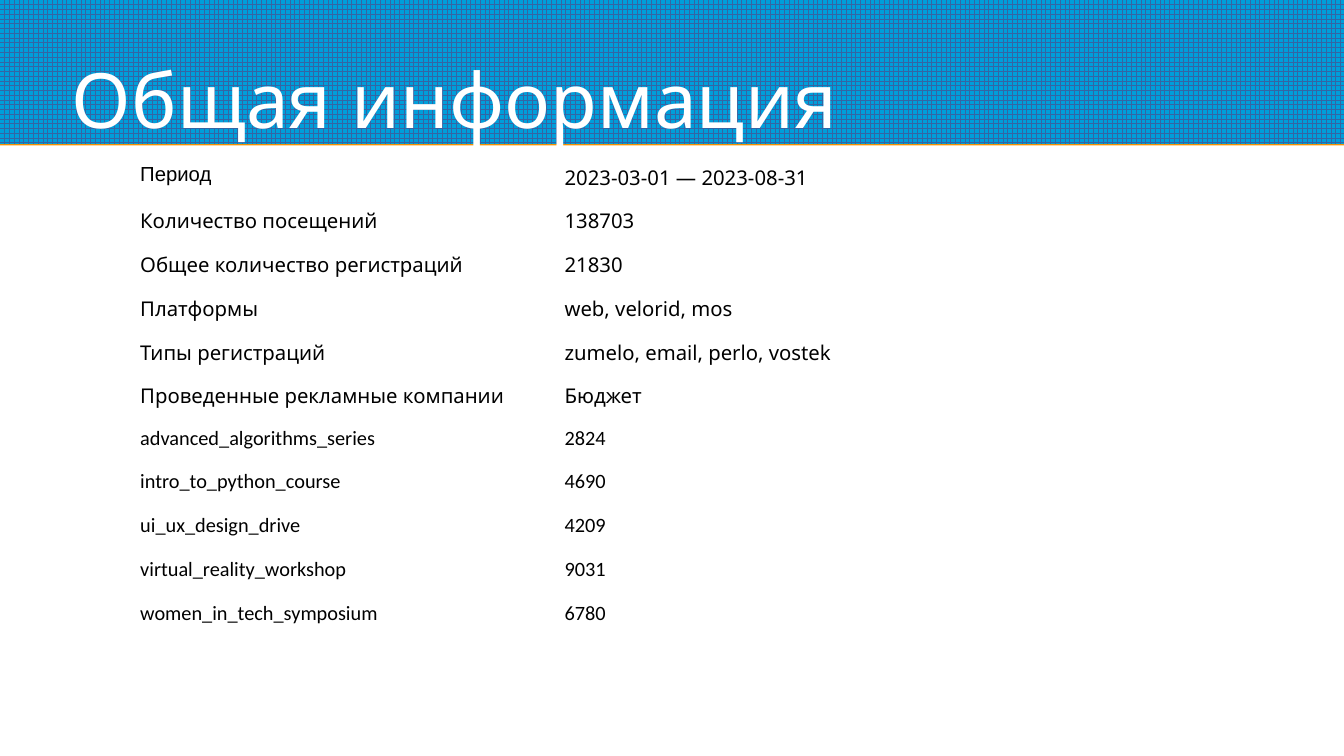
"""Build the general information slide: a patterned title band and a two-column table."""
from lxml.etree import SubElement
from pptx import Presentation
from pptx.dml.color import RGBColor
from pptx.enum.dml import MSO_PATTERN
from pptx.enum.shapes import MSO_SHAPE
from pptx.enum.text import MSO_ANCHOR, MSO_AUTO_SIZE, PP_ALIGN
from pptx.oxml.ns import qn
from pptx.util import Inches, Pt

COLORS = {"grid": "3465A4", "band": "009EDA", "edge": "F49100", "title": "FFFFFF", "text": "000000"}
COLUMN_WIDTHS = (3.48, 4.41)
ROW_HEIGHT = 0.359
CAMPAIGN_START = 6
ROWS = [
    ("Период", "2023-03-01 — 2023-08-31"),
    ("Количество посещений", "138703"),
    ("Общее количество регистраций", "21830"),
    ("Платформы", "web, velorid, mos"),
    ("Типы регистраций", "zumelo, email, perlo, vostek"),
    ("Проведенные рекламные компании", "Бюджет"),
    ("advanced_algorithms_series", "2824"),
    ("intro_to_python_course", "4690"),
    ("ui_ux_design_drive", "4209"),
    ("virtual_reality_workshop", "9031"),
    ("women_in_tech_symposium", "6780"),
]


def style_font(font, name, size, color):
    font.name = name
    font.size = Pt(size)
    font.color.rgb = RGBColor.from_string(COLORS[color])


deck = Presentation()
deck.slide_width = Inches(11.02)
deck.slide_height = Inches(6.2)
page = deck.slides.add_slide(deck.slide_layouts[5])

band = page.shapes.add_shape(MSO_SHAPE.RECTANGLE, 0, 0, deck.slide_width, Inches(1.18))
band.fill.patterned()
band.fill.pattern = MSO_PATTERN.LARGE_GRID
band.fill.fore_color.rgb = RGBColor.from_string(COLORS["grid"])
band.fill.back_color.rgb = RGBColor.from_string(COLORS["band"])
band.line.fill.background()
band.shadow.inherit = False
effects = band.element.spPr.find(qn("a:effectLst"))
edge = SubElement(effects, qn("a:outerShdw"), blurRad="0", dist=str(Pt(0.9)), dir="5400000",
                  algn="ctr", rotWithShape="0")
SubElement(edge, qn("a:srgbClr"), val=COLORS["edge"])

title = page.shapes.title
title.element.addprevious(band.element)
title.left, title.top = Inches(0.59), Inches(0.1)
title.width, title.height = Inches(9.84), Inches(1.08)
frame = title.text_frame
frame.text = "Общая информация"
frame.auto_size = MSO_AUTO_SIZE.NONE
frame.word_wrap = True
frame.vertical_anchor = MSO_ANCHOR.BOTTOM
frame.margin_left = frame.margin_right = frame.margin_top = frame.margin_bottom = 0
frame.paragraphs[0].alignment = PP_ALIGN.LEFT
style_font(frame.paragraphs[0].font, "Noto Sans", 45, "title")

table = page.shapes.add_table(
    len(ROWS), len(COLUMN_WIDTHS), Inches(1.11), Inches(1.29),
    Inches(sum(COLUMN_WIDTHS)), Inches(ROW_HEIGHT * len(ROWS)),
).table
table.first_row = False
table.horz_banding = False
for column, width in zip(table.columns, COLUMN_WIDTHS):
    column.width = Inches(width)

for row_index, row in enumerate(ROWS):
    table.rows[row_index].height = Inches(ROW_HEIGHT)
    for column_index, text in enumerate(row):
        cell = table.cell(row_index, column_index)
        cell.fill.background()
        cell.margin_left = cell.margin_right = Inches(0.04)
        cell.margin_top = cell.margin_bottom = Inches(0.05)
        cell.text = text
        if text == "Период":
            font_name = "Arial"
        elif row_index < CAMPAIGN_START:
            font_name = "Noto Sans"
        else:
            font_name = "Calibri"
        style_font(cell.text_frame.paragraphs[0].font, font_name, 12, "text")

deck.save("out.pptx")
